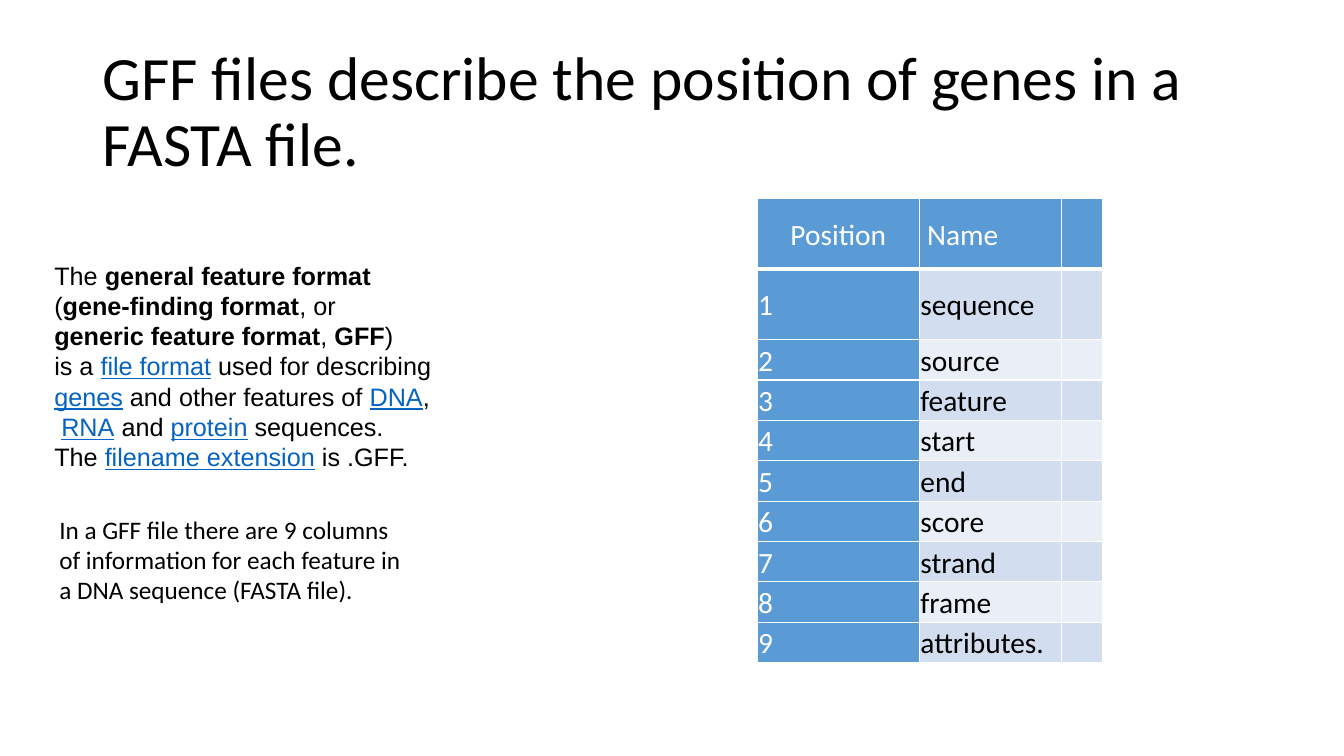
"""Builds a slide on the GFF format with a table of its nine columns."""
from lxml import etree
from pptx import Presentation
from pptx.dml.color import RGBColor
from pptx.enum.text import MSO_ANCHOR, PP_ALIGN
from pptx.oxml.ns import qn
from pptx.util import Inches, Pt

MIDDLE = MSO_ANCHOR.MIDDLE
CENTER, LEFT, JUSTIFY = PP_ALIGN.CENTER, PP_ALIGN.LEFT, PP_ALIGN.JUSTIFY
BLACK, WHITE, BLUE, LINK = "000000", "FFFFFF", "5B9BD5", "0563C1"
BANDS = ["D2DEEF", "EAEFF7"]


def paint(target, color):
    """Set a fill or a font to a hex colour."""
    if hasattr(target, "solid"):
        target.solid()
        target.fore_color.rgb = RGBColor.from_string(color)
    else:
        target.color.rgb = RGBColor.from_string(color)


def write(frame, lines, size, face, color=BLACK, space=None, align=LEFT):
    """Fill a text frame with lines of (text, style) runs."""
    for i, line in enumerate(lines):
        para = frame.add_paragraph() if i else frame.paragraphs[0]
        para.alignment = align
        para.line_spacing = space
        for text, style in line:
            run = para.add_run()
            run.text = text
            font = run.font
            font.size, font.name = Pt(size), face
            font.bold = style == "bold"
            font.underline = style == "link"
            paint(font, LINK if style == "link" else color)


deck = Presentation()
deck.slide_width, deck.slide_height = Inches(13.33), Inches(7.5)
slide = deck.slides.add_slide(deck.slide_layouts[6])

title = [[("GFF files describe the position of genes in a FASTA file.", "")]]
about = [
    [("The ", ""), ("general feature format", "bold")],
    [("(", ""), ("gene-finding format", "bold"), (", or", "")],
    [("generic feature format", "bold"), (", ", ""), ("GFF", "bold"), (")", "")],
    [("is a ", ""), ("file format", "link"), (" used for describing", "")],
    [("genes", "link"), (" and other features of ", ""), ("DNA", "link"), (",", "")],
    [(" ", ""), ("RNA", "link"), (" and ", ""), ("protein", "link"),
     (" sequences.", "")],
    [("The ", ""), ("filename extension", "link"), (" is .GFF.", "")],
]
note = [[(text, "")] for text in (
    "In a GFF file there are 9 columns",
    "of information for each feature in",
    "a DNA sequence (FASTA file).")]

blocks = [
    ((0.92, 0.4, 11.5, 1.45), title, 44, "Calibri", 0.9),
    ((0.44, 2.53, 6.18, 2.89), about, 18, "Arial", None),
    ((0.49, 5.05, 3.63, 1.31), note, 18, "Calibri", None),
]
for area, lines, size, face, space in blocks:
    frame = slide.shapes.add_textbox(*map(Inches, area)).text_frame
    frame.word_wrap = lines is not note
    if lines is title:
        frame.vertical_anchor = MIDDLE
    write(frame, lines, size, face, space=space)

names = ["sequence", "source", "feature", "start", "end",
         "score", "strand", "frame", "attributes."]
rows = [("Position", " Name", "")]
rows += [(str(i), name, "") for i, name in enumerate(names, 1)]
widths = [1.61, 1.41, 0.41]
heights = [0.7] * 2 + [0.37] * 7 + [0.32]

table = slide.shapes.add_table(
    len(rows), len(widths), Inches(7.51), Inches(1.97),
    Inches(sum(widths)), Inches(sum(heights))).table
table.first_row = table.horz_banding = False
for col, width in zip(table.columns, widths):
    col.width = Inches(width)

for r, row in enumerate(rows):
    table.rows[r].height = Inches(heights[r])
    for c, text in enumerate(row):
        cell = table.cell(r, c)
        solid = r == 0 or c == 0
        paint(cell.fill, BLUE if solid else BANDS[(r - 1) % 2])
        if text:
            cell.vertical_anchor = MIDDLE
            cell.margin_left = cell.margin_right = Inches(0.01)
            cell.margin_top = cell.margin_bottom = Inches(0.01)
            align = CENTER if r == c == 0 else JUSTIFY if (r, c) == (1, 0) else LEFT
            write(cell.text_frame, [[(text, "")]], 21, "Calibri",
                  WHITE if solid else BLACK, 1.07, align)
        props = cell._tc.get_or_add_tcPr()
        for i, side in enumerate("LRTB"):
            thick = 3 if r == 0 and side == "B" else 1
            edge = etree.Element(qn("a:ln" + side), w=str(Pt(thick)))
            fill = etree.SubElement(edge, qn("a:solidFill"))
            etree.SubElement(fill, qn("a:srgbClr"), val=WHITE)
            props.insert(i, edge)

deck.save("out.pptx")
